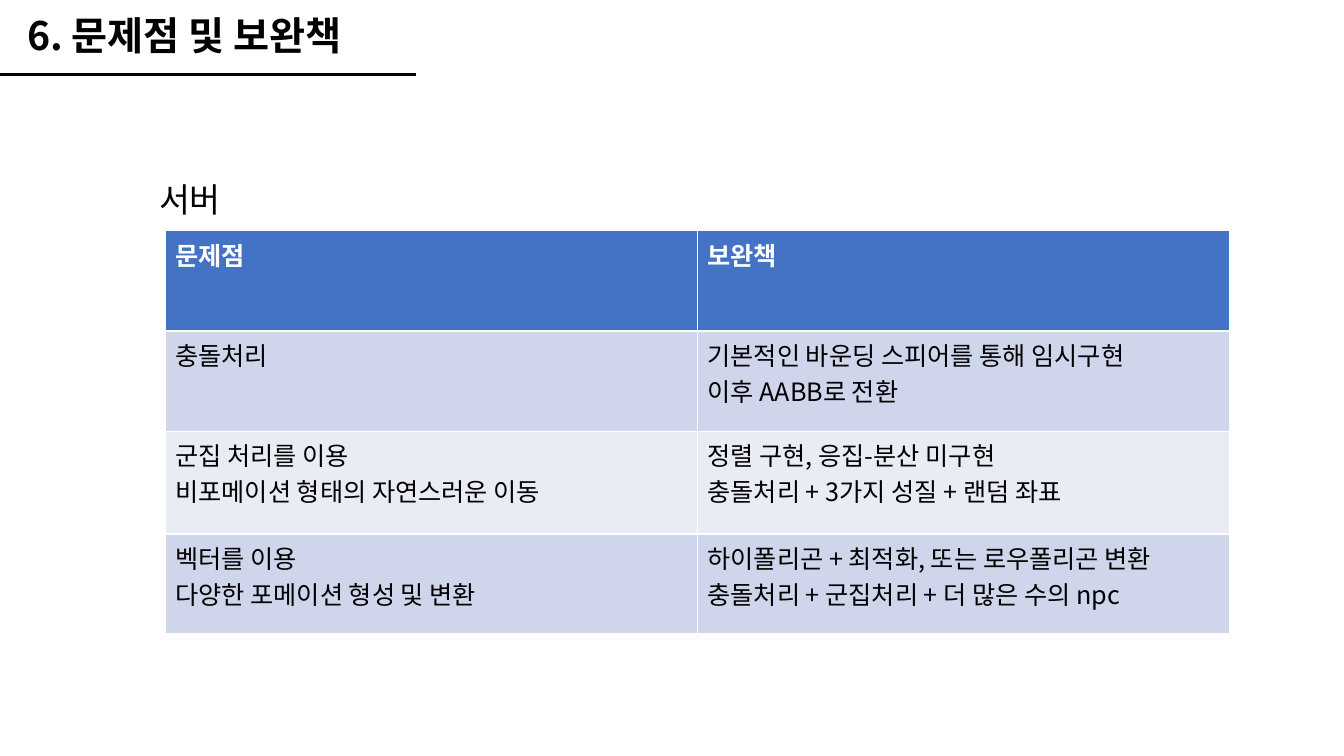
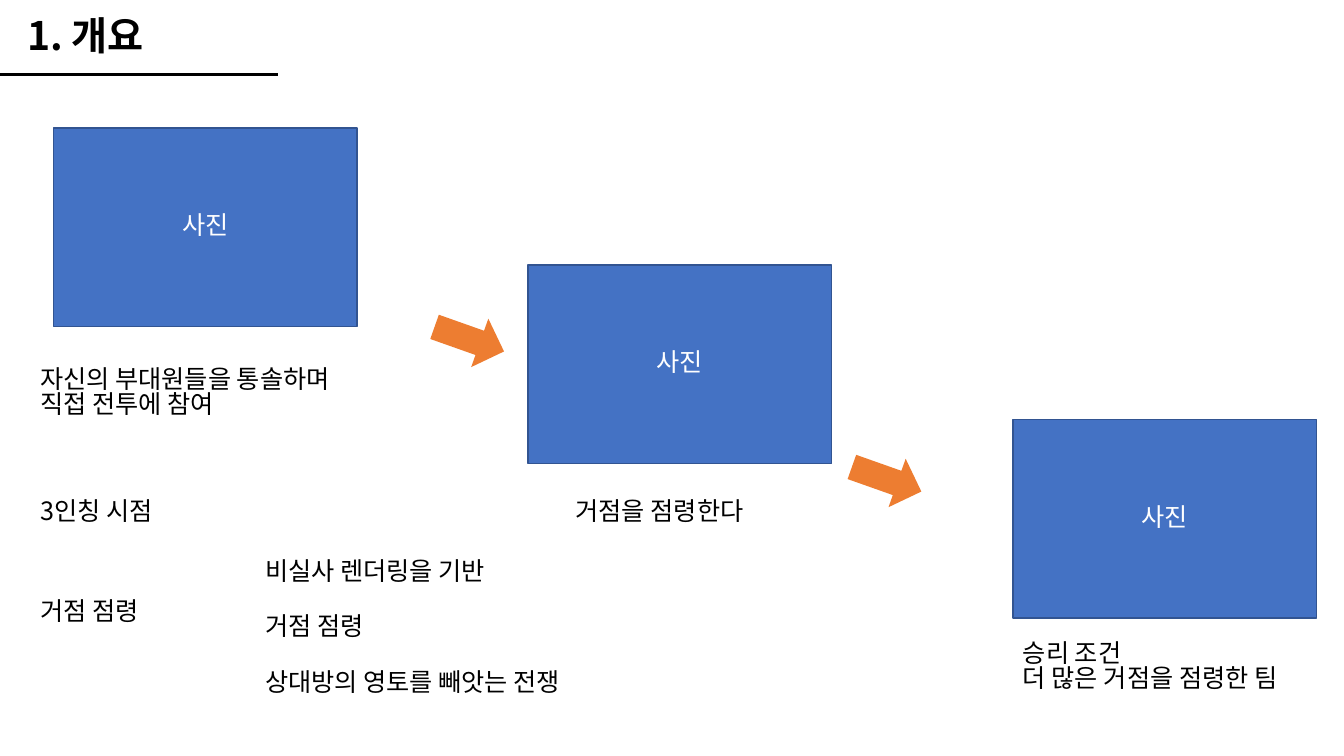
from dataclasses import dataclass

from lxml.etree import SubElement
from pptx import Presentation
from pptx.dml.color import RGBColor
from pptx.enum.shapes import MSO_CONNECTOR as Connector, MSO_SHAPE as Preset
from pptx.enum.text import MSO_ANCHOR as Anchor, MSO_AUTO_SIZE as AutoSize, PP_ALIGN as Align
from pptx.oxml.ns import qn
from pptx.shapes.autoshape import Shape
from pptx.slide import Slide
from pptx.text.text import TextFrame
from pptx.util import Inches, Pt

FONT = "Noto Sans CJK KR"
BLACK, WHITE = "000000", "FFFFFF"
BLUE, BLUE_EDGE, ORANGE = "4472C4", "325491", "ED7D31"
BANDS = ("CFD5EA", "E9EBF5")
BODY_SIZE, LABEL_SIZE, TITLE_SIZE = 18, 24, 28
TIGHT = 0.83
TITLE_ONLY = 5

deck = Presentation()
deck.slide_width, deck.slide_height = Inches(13.333), Inches(7.5)
COLUMN, ROW = deck.slide_width / 100, deck.slide_height / 100


@dataclass(frozen=True)
class Area:
    column: float
    row: float
    columns: float
    rows: float

    def emu(self) -> tuple[int, int, int, int]:
        return (round(self.column * COLUMN), round(self.row * ROW),
                round(self.columns * COLUMN), round(self.rows * ROW))


@dataclass(frozen=True)
class Style:
    size: float = BODY_SIZE
    color: str = BLACK
    bold: bool = False
    align: Align = Align.LEFT
    spacing: float = TIGHT
    gap: float = 0


@dataclass(frozen=True)
class Caption:
    area: Area
    lines: tuple[str, ...]
    style: Style = Style()


@dataclass(frozen=True)
class Heading:
    title: str
    title_columns: float
    rule_columns: float


def rgb(color: str) -> RGBColor:
    return RGBColor.from_string(color)


def write(frame: TextFrame, lines: tuple[str, ...], style: Style) -> None:
    for index, line in enumerate(lines):
        paragraph = frame.paragraphs[0] if index == 0 else frame.add_paragraph()
        paragraph.alignment = style.align
        paragraph.line_spacing = style.spacing
        paragraph.space_before = Pt(style.gap if index else 0)
        run = paragraph.add_run()
        run.text = line
        run.font.size = Pt(style.size)
        run.font.bold = style.bold
        run.font.color.rgb = rgb(style.color)
        run.font.name = FONT
        SubElement(run._r.get_or_add_rPr(), qn("a:ea"), typeface=FONT)


def add_heading(heading: Heading) -> Slide:
    slide = deck.slides.add_slide(deck.slide_layouts[TITLE_ONLY])
    title = slide.shapes.title
    area = Area(1.28, 1.9, heading.title_columns, 7.6)
    title.left, title.top, title.width, title.height = area.emu()
    frame = title.text_frame
    frame.word_wrap = True
    frame.auto_size = AutoSize.SHAPE_TO_FIT_TEXT
    frame.vertical_anchor = Anchor.TOP
    write(frame, (heading.title,), Style(TITLE_SIZE, bold=True))

    level = round(9.87 * ROW)
    rule = slide.shapes.add_connector(
        Connector.STRAIGHT, 0, level, round(heading.rule_columns * COLUMN), level)
    rule.line.color.rgb = rgb(BLACK)
    rule.line.width = Pt(2.5)
    SubElement(rule._element.spPr, qn("a:effectLst"))
    return slide


def add_caption(slide: Slide, caption: Caption) -> None:
    frame = slide.shapes.add_textbox(*caption.area.emu()).text_frame
    frame.word_wrap = True
    frame.auto_size = AutoSize.SHAPE_TO_FIT_TEXT
    write(frame, caption.lines, caption.style)


def add_solid(slide: Slide, preset: Preset, area: Area, color: str) -> Shape:
    solid = slide.shapes.add_shape(preset, *area.emu())
    solid.shadow.inherit = False
    solid.fill.solid()
    solid.fill.fore_color.rgb = rgb(color)
    solid.line.fill.background()
    return solid


def add_arrow(slide: Slide, column: float, row: float) -> None:
    arrow = add_solid(slide, Preset.RIGHT_ARROW, Area(column, row, 5.48, 6.8), ORANGE)
    arrow.rotation = 19.5


def add_photo_frame(slide: Slide, column: float, row: float) -> None:
    photo = add_solid(slide, Preset.RECTANGLE, Area(column, row, 22.58, 26.27), BLUE)
    photo.line.color.rgb = rgb(BLUE_EDGE)
    photo.line.width = Pt(1)
    photo.text_frame.vertical_anchor = Anchor.MIDDLE
    write(photo.text_frame, ("사진",), Style(color=WHITE, align=Align.CENTER))


def add_remedies(slide: Slide, area: Area, heights: tuple[float, ...],
                 entries: tuple[tuple[tuple[str, ...], ...], ...]) -> None:
    remedies = slide.shapes.add_table(len(entries), len(entries[0]), *area.emu()).table
    for index, (entry, height) in enumerate(zip(entries, heights)):
        remedies.rows[index].height = round(height * ROW)
        is_header = index == 0
        fill = BLUE if is_header else BANDS[(index - 1) % 2]
        style = Style(color=WHITE if is_header else BLACK, bold=is_header, spacing=1)
        for cell, lines in zip(remedies.rows[index].cells, entry):
            cell.fill.solid()
            cell.fill.fore_color.rgb = rgb(fill)
            write(cell.text_frame, lines, style)


REMEDIES = (
    (("문제점",), ("보완책",)),
    (("충돌처리",),
     ("기본적인 바운딩 스피어를 통해 임시구현", "이후 AABB로 전환")),
    (("군집 처리를 이용", "비포메이션 형태의 자연스러운 이동"),
     ("정렬 구현, 응집-분산 미구현", "충돌처리 + 3가지 성질 + 랜덤 좌표")),
    (("벡터를 이용", "다양한 포메이션 형성 및 변환"),
     ("하이폴리곤 + 최적화, 또는 로우폴리곤 변환",
      "충돌처리 + 군집처리 + 더 많은 수의 npc")),
)
REMEDY_ROWS = (13.25, 13.25, 13.6, 13.25)

ONE_LINE, TWO_LINES = 5.33, 9.47
LEFT_EDGE, VICTORY_EDGE = 2.25, 75.38
PHOTOS = ((3.98, 16.93), (39.3, 35.07), (VICTORY_EDGE, 55.47))
ARROWS = ((32.18, 41.47), (63.23, 60))
CAPTIONS = (
    Caption(Area(LEFT_EDGE, 48.13, 24.38, TWO_LINES),
            ("자신의 부대원들을 통솔하며", "직접 전투에 참여")),
    Caption(Area(LEFT_EDGE, 78.8, 12.15, ONE_LINE), ("거점 점령",)),
    Caption(Area(LEFT_EDGE, 65.6, 10.5, ONE_LINE), ("3인칭 시점",)),
    Caption(Area(42.08, 65.6, 15.9, ONE_LINE), ("거점을 점령한다",)),
    Caption(Area(VICTORY_EDGE, 84.27, 22.43, TWO_LINES),
            ("승리 조건", "더 많은 거점을 점령한 팀")),
    Caption(Area(18.98, 73.47, 31.65, 21.6),
            ("비실사 렌더링을 기반", "거점 점령", "상대방의 영토를 빼앗는 전쟁"),
            Style(gap=21.6)),
)

problems = add_heading(Heading("6. 문제점 및 보완책", 27.23, 30.98))
add_caption(problems, Caption(Area(11.1, 23.87, 6.53, 6.67), ("서버",), Style(LABEL_SIZE)))
add_remedies(problems, Area(12.3, 30.53, 79.2, sum(REMEDY_ROWS)), REMEDY_ROWS, REMEDIES)

overview = add_heading(Heading("1. 개요", 19.58, 20.7))
for place in ARROWS:
    add_arrow(overview, *place)
for place in PHOTOS:
    add_photo_frame(overview, *place)
for caption in CAPTIONS:
    add_caption(overview, caption)

deck.save("out.pptx")
